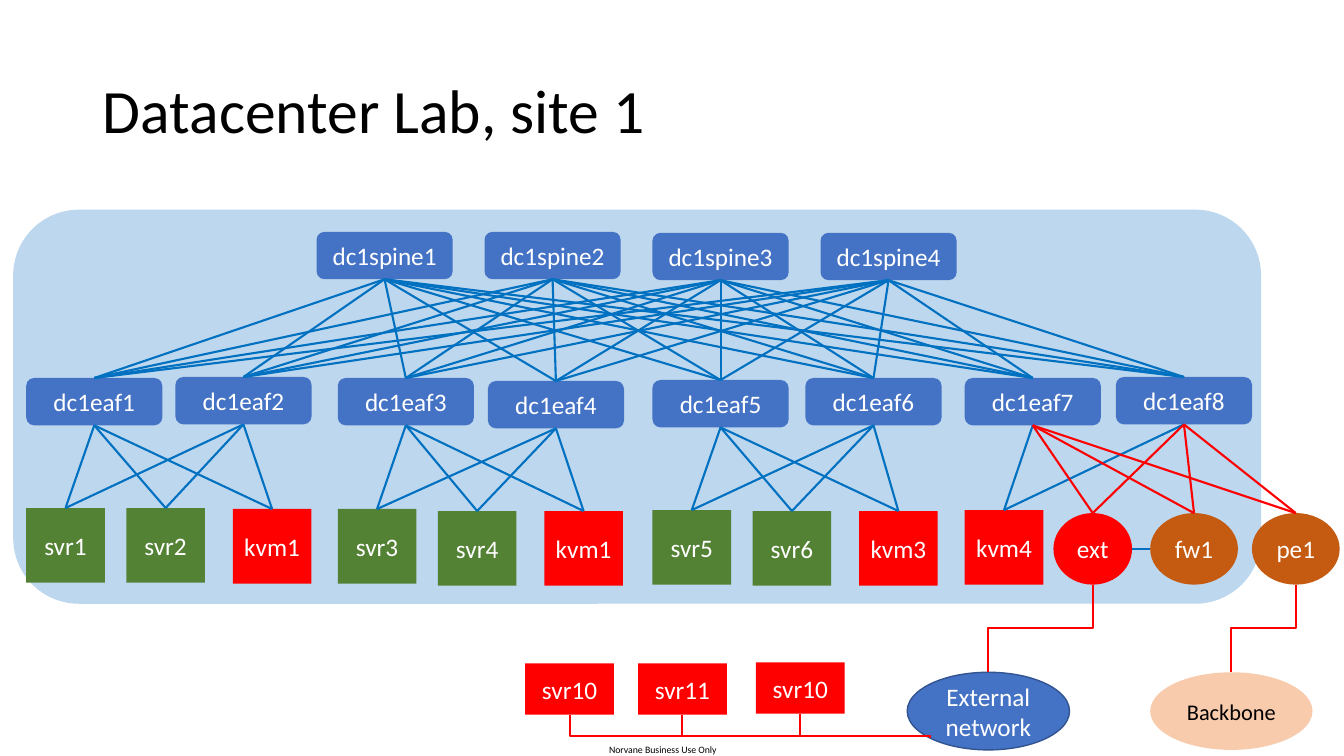
from dataclasses import dataclass
from itertools import product

from lxml import etree
from pptx import Presentation
from pptx.dml.color import RGBColor
from pptx.enum.shapes import MSO_CONNECTOR, MSO_SHAPE
from pptx.enum.text import MSO_ANCHOR, PP_ALIGN
from pptx.oxml.ns import qn
from pptx.util import Inches, Pt

RECT, ROUND, OVAL = MSO_SHAPE.RECTANGLE, MSO_SHAPE.ROUNDED_RECTANGLE, MSO_SHAPE.OVAL
STRAIGHT, ELBOW = MSO_CONNECTOR.STRAIGHT, MSO_CONNECTOR.ELBOW
MIDDLE, CENTER, LEFT = MSO_ANCHOR.MIDDLE, PP_ALIGN.CENTER, PP_ALIGN.LEFT
TOP, BOTTOM = 0, 2
TITLE_ONLY = 5


@dataclass(frozen=True)
class Theme:
    """Colours, type sizes and line widths of the slide."""
    font: str = "Calibri"
    panel: str = "BDD7EE"
    switch: str = "4472C4"
    switch_edge: str = "325491"
    server: str = "548235"
    red: str = "FF0000"
    router: str = "C55A11"
    backbone: str = "F8CBAD"
    link: str = "0070C0"
    light: str = "FFFFFF"
    dark: str = "000000"
    title: int = 44
    label: int = 18
    small_label: int = 16
    footer: int = 7
    link_width: float = 1.5
    edge_width: float = 1


THEME = Theme()
WIDTH, HEIGHT = Inches(40) // 3, Inches(7.5)

SWITCH_SIZE = (10.13, 6.27)
HOST_SIZE = (5.85, 9.87)
ROUTER_SIZE = (6.53, 9.47)
OUTER_SERVER_SIZE = (6.6, 6.8)
CLOUD_SIZE = (12.08, 10.27)
SPINE_LEFT, SPINE_PITCH = 23.55, 12.5
SPINE_TOPS = (30.67, 30.67, 30.8, 30.8)
HOST_OFFSETS = (0, 7.45, 15.37)
EDGE_TOP, CLOUD_TOP = 67.87, 88.93
BUS_END = (69.23, 97.6)
BUS_BEND = 0.925

LEAF_PLACES = (
    ((1.95, 50), (13.05, 49.87)),
    ((25.13, 50), (36.3, 50.4)),
    ((48.55, 50.27), (59.93, 50)),
    ((71.78, 50), (83.03, 49.87)),
)
HOST_ROWS = (
    (("svr1", 67.2), ("svr2", 67.2), ("kvm1", 67.33)),
    (("svr3", 67.33), ("svr4", 67.6), ("kvm1", 67.6)),
    (("svr5", 67.47), ("svr6", 67.6), ("kvm3", 67.6)),
    (("kvm4", 67.47),),
)
OUTER_SERVERS = (("svr10", 39.08, 87.73), ("svr11", 47.48, 87.73), ("svr10", 56.25, 87.6))


def across(share):
    """Turn a percentage of the slide width into a length."""
    return round(WIDTH * share / 100)


def down(share):
    """Turn a percentage of the slide height into a length."""
    return round(HEIGHT * share / 100)


def frame(place, size):
    """Return left, top, width and height from percentage shares."""
    return across(place[0]), down(place[1]), across(size[0]), down(size[1])


def write(text_frame, text, size, colour, align=CENTER):
    """Write one paragraph and format its run."""
    text_frame.text = text
    text_frame.word_wrap = True
    para = text_frame.paragraphs[0]
    para.alignment = align
    font = para.runs[0].font
    font.name, font.size = THEME.font, Pt(size)
    font.color.rgb = RGBColor.from_string(colour)
    return para


def add_node(page, kind, place, size, fill, text="", type_size=THEME.label, colour=THEME.light):
    """Add a filled shape without an outline, labelled if text is given."""
    node = page.shapes.add_shape(kind, *frame(place, size))
    node.shadow.inherit = False
    node.fill.solid()
    node.fill.fore_color.rgb = RGBColor.from_string(fill)
    node.line.fill.background()
    if text:
        write(node.text_frame, text, type_size, colour)
        node.text_frame.vertical_anchor = MIDDLE
    return node


def style_link(link, colour):
    """Colour a connector and take away its shadow."""
    link.line.color.rgb = RGBColor.from_string(colour)
    link.line.width = Pt(THEME.link_width)
    etree.SubElement(link.element.spPr, qn("a:effectLst"))


def add_link(page, upper, lower, colour=THEME.link):
    """Join the bottom of one node to the top of another."""
    link = page.shapes.add_connector(STRAIGHT, 0, 0, 0, 0)
    link.begin_connect(upper, BOTTOM)
    link.end_connect(lower, TOP)
    style_link(link, colour)


def add_side_link(page, left_node, right_node):
    """Join two neighbours side by side."""
    middle = left_node.top + left_node.height // 2
    link = page.shapes.add_connector(
        STRAIGHT, left_node.left + left_node.width, middle, right_node.left, middle)
    style_link(link, THEME.link)


def add_drop(page, node, end, bend=0.5):
    """Run a red elbow down from a node's bottom to an end point."""
    start_x, start_y = node.left + node.width // 2, node.top + node.height
    end_x, end_y = end
    drop, shift = end_y - start_y, abs(end_x - start_x)
    link = page.shapes.add_connector(ELBOW, 0, 0, drop, shift)
    link.left = (start_x + end_x - drop) // 2
    link.top = (start_y + end_y - shift) // 2
    transform = link.element.spPr.find(qn("a:xfrm"))
    transform.set("rot", "5400000")
    if end_x > start_x:
        transform.set("flipV", "1")
    guides = link.element.spPr.find(qn("a:prstGeom")).find(qn("a:avLst"))
    etree.SubElement(guides, qn("a:gd"), name="adj1", fmla=f"val {round(bend * 100000)}")
    style_link(link, THEME.red)


def top_middle(node):
    """Return the point at the middle of a node's top."""
    return node.left + node.width // 2, node.top


def add_title(page):
    """Place and format the title."""
    title = page.shapes.title
    title.left, title.top, title.width, title.height = frame((6.9, 5.33), (86.25, 19.33))
    para = write(title.text_frame, "Datacenter Lab, site 1", THEME.title, THEME.dark, LEFT)
    para.line_spacing = 0.9
    title.text_frame.vertical_anchor = MIDDLE


def add_footer(page):
    """Add the classification line at the bottom edge."""
    box = page.shapes.add_textbox(*frame((44.38, 98.4), (9.88, 1.6)))
    text = box.text_frame
    text.margin_left = text.margin_right = text.margin_top = text.margin_bottom = 0
    write(text, "Norvane Business Use Only", THEME.footer, THEME.dark)


def add_fabric(page):
    """Add spines, leaves and hosts, and return the last pod's leaves."""
    spines = [
        add_node(page, ROUND, (SPINE_LEFT + SPINE_PITCH * index, top), SWITCH_SIZE,
                 THEME.switch, f"dc1spine{index + 1}")
        for index, top in enumerate(SPINE_TOPS)]
    for pod, (places, row) in enumerate(zip(LEAF_PLACES, HOST_ROWS)):
        leaves = [
            add_node(page, ROUND, place, SWITCH_SIZE, THEME.switch, f"dc1eaf{2 * pod + side}")
            for side, place in enumerate(places, 1)]
        hosts = [
            add_node(page, RECT, (places[0][0] + offset, top), HOST_SIZE,
                     THEME.server if name.startswith("svr") else THEME.red, name)
            for offset, (name, top) in zip(HOST_OFFSETS, row)]
        for upper, lower in [*product(spines, leaves), *product(leaves, hosts)]:
            add_link(page, upper, lower)
    return leaves


def add_edge(page, border_leaves):
    """Add the edge devices, outer networks and outer servers."""
    ext = add_node(page, OVAL, (78.38, EDGE_TOP), (HOST_SIZE[0], ROUTER_SIZE[1]), THEME.red, "ext")
    firewall = add_node(page, OVAL, (85.58, EDGE_TOP), ROUTER_SIZE, THEME.router, "fw1")
    provider = add_node(page, OVAL, (93.15, EDGE_TOP), ROUTER_SIZE, THEME.router, "pe1")
    for leaf, device in product(border_leaves, (ext, firewall, provider)):
        add_link(page, leaf, device, THEME.red)
    add_side_link(page, ext, firewall)

    external = add_node(page, OVAL, (67.5, CLOUD_TOP), CLOUD_SIZE, THEME.switch,
                        "External network")
    external.line.color.rgb = RGBColor.from_string(THEME.switch_edge)
    external.line.width = Pt(THEME.edge_width)
    backbone = add_node(page, OVAL, (85.58, CLOUD_TOP), CLOUD_SIZE, THEME.backbone,
                        "Backbone", THEME.small_label, THEME.dark)
    add_drop(page, ext, top_middle(external))
    add_drop(page, provider, top_middle(backbone))

    for name, left, top in OUTER_SERVERS:
        server = add_node(page, RECT, (left, top), OUTER_SERVER_SIZE, THEME.red, name)
        add_drop(page, server, (across(BUS_END[0]), down(BUS_END[1])), BUS_BEND)


def main():
    """Build the slide and save the deck."""
    deck = Presentation()
    deck.slide_width, deck.slide_height = WIDTH, HEIGHT
    page = deck.slides.add_slide(deck.slide_layouts[TITLE_ONLY])
    add_footer(page)
    add_node(page, ROUND, (0.98, 27.73), (92.85, 52.13), THEME.panel)
    add_title(page)
    add_edge(page, add_fabric(page))
    deck.save("out.pptx")


if __name__ == "__main__":
    main()
